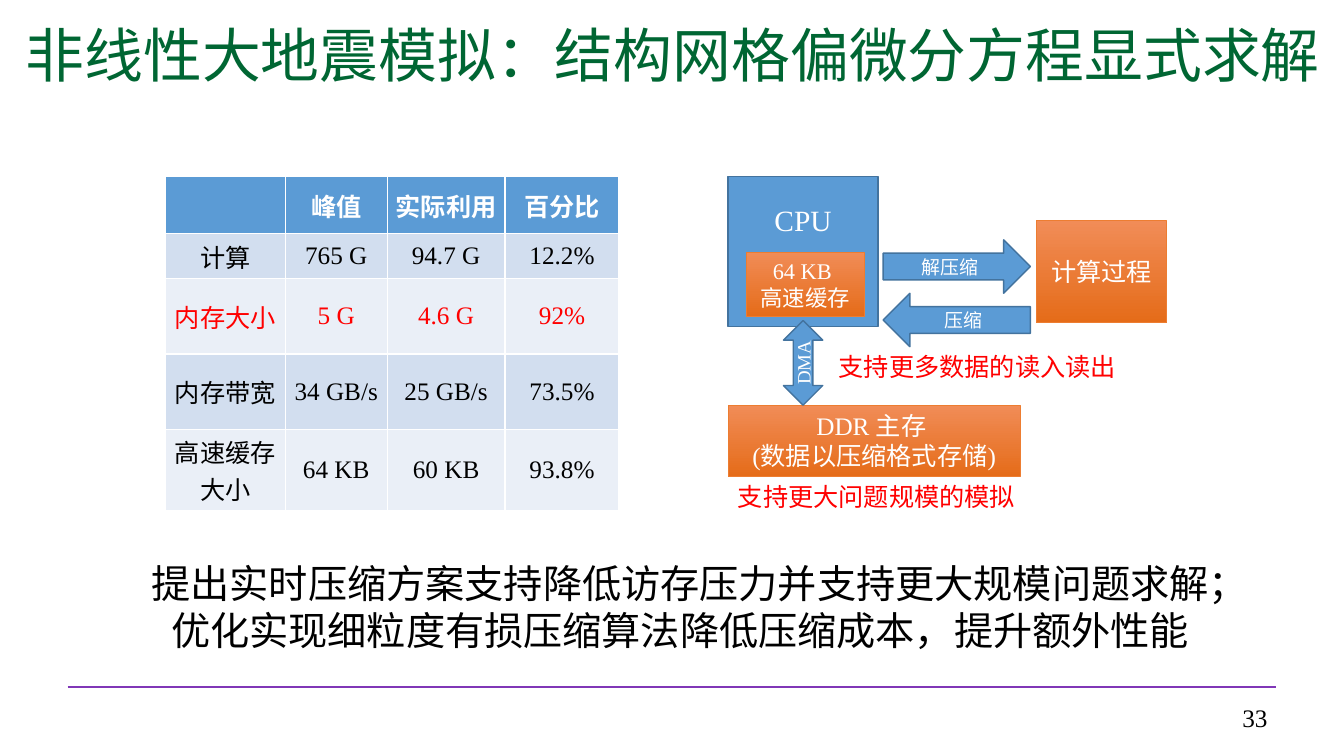
from dataclasses import dataclass

from lxml import etree
from pptx import Presentation
from pptx.dml.color import RGBColor
from pptx.enum.shapes import MSO_CONNECTOR, MSO_SHAPE
from pptx.enum.text import MSO_ANCHOR, PP_ALIGN
from pptx.oxml.ns import qn
from pptx.util import Inches, Pt

RECT, UP_DOWN = MSO_SHAPE.RECTANGLE, MSO_SHAPE.UP_DOWN_ARROW
RIGHT_ARROW, LEFT_ARROW = MSO_SHAPE.RIGHT_ARROW, MSO_SHAPE.LEFT_ARROW
TOP, MIDDLE, BOTTOM = MSO_ANCHOR.TOP, MSO_ANCHOR.MIDDLE, MSO_ANCHOR.BOTTOM
LEFT, CENTER, RIGHT = PP_ALIGN.LEFT, PP_ALIGN.CENTER, PP_ALIGN.RIGHT


@dataclass(frozen=True)
class Theme:
    font: str = "Times New Roman"
    title_font: str = "Noto Sans CJK JP"
    green: str = "006633"
    purple: str = "8037B7"
    blue: str = "5B9BD5"
    blue_edge: str = "43739E"
    orange: tuple = ("F18C57", "E56C19")
    orange_edge: str = "ED7D31"
    bands: tuple = ("D2DEEF", "EAEFF7")
    red: str = "FF0000"
    black: str = "000000"
    white: str = "FFFFFF"
    title: float = 42
    summary: float = 28
    cpu: float = 21
    body: float = 18
    cache: float = 16
    arrow: float = 13.5


T = Theme()

# Content
TITLE = "非线性大地震模拟：结构网格偏微分方程显式求解"
SUMMARY = ("提出实时压缩方案支持降低访存压力并支持更大规模问题求解；"
           "优化实现细粒度有损压缩算法降低压缩成本，提升额外性能")
PAGE = "33"
USAGE = [
    ("", "峰值", "实际利用", "百分比"),
    ("计算", "765 G", "94.7 G", "12.2%"),
    ("内存大小", "5 G", "4.6 G", "92%"),
    ("内存带宽", "34 GB/s", "25 GB/s", "73.5%"),
    ("高速缓存大小", "64 KB", "60 KB", "93.8%"),
]
KEY_ROW = 2
USAGE_COLS = (1.19, 1.01, 1.17, 1.13)
USAGE_ROWS = (0.57, 0.42, 0.75, 0.75, 0.75)

# Grid lines in inches
W, H = 13.33, 7.5
MARGIN, RULE_Y = 0.67, 6.82
USAGE_X, DIAGRAM_X, DIAGRAM_Y = 1.64, 7.22, 1.75
CPU_SIDE = 1.49
MEMORY_Y, MEMORY_H = 4.02, 0.71
FLOW_X, FLOW_W, FLOW_H, FLOW_Y = 8.76, 1.46, 0.53, 2.38
NOTE_W, NOTE_H = 3.26, 0.4

# Shapes: preset, box, orange or blue, lines, size, anchor, top inset
DIAGRAM = [
    (RECT, (DIAGRAM_X, DIAGRAM_Y, CPU_SIDE, CPU_SIDE), False, ["CPU"], T.cpu, TOP, 0.25),
    (RECT, (7.4, 2.5, 1.17, 0.64), True, ["64 KB ", "高速缓存"], T.cache, TOP, 0.05),
    (RECT, (DIAGRAM_X, MEMORY_Y, 2.9, MEMORY_H), True,
     ["DDR 主存 ", "(数据以压缩格式存储)"], T.body, TOP, 0.05),
    (UP_DOWN, (7.77, 3.18, 0.39, MEMORY_Y - 3.18), False, ["DMA"], T.arrow, MIDDLE, 0.05),
    (RECT, (10.28, 2.19, 1.29, 1.01), True, ["计算过程"], T.body, MIDDLE, 0.05),
    (RIGHT_ARROW, (FLOW_X, FLOW_Y, FLOW_W, FLOW_H), False, ["解压缩"], T.arrow, MIDDLE, 0.05),
    (LEFT_ARROW, (FLOW_X, FLOW_Y + FLOW_H, FLOW_W, FLOW_H), False,
     ["压缩"], T.arrow, MIDDLE, 0.05),
]

# Text boxes: box, text, size, colour, font, alignment, anchor, line spacing
TEXTS = [
    ((DIAGRAM_X, MEMORY_Y + MEMORY_H, NOTE_W, NOTE_H), "支持更大问题规模的模拟",
     T.body, T.red, T.font, LEFT, TOP, 1.0),
    ((DIAGRAM_X + 1, 3.44, NOTE_W, NOTE_H), "支持更多数据的读入读出",
     T.body, T.red, T.font, LEFT, TOP, 1.0),
    ((1.39, 5.5, 10.71, 1.09), SUMMARY, T.summary, T.black, T.font, CENTER, TOP, 1.0),
    ((-0.14, 0.22, 13.62, 1.25), TITLE, T.title, T.green, T.title_font, CENTER, TOP, 0.9),
    ((9.56, RULE_Y, 3.11, 0.5), PAGE, T.body, T.black, T.font, RIGHT, BOTTOM, 1.0),
]


def rgb(colour):
    return RGBColor.from_string(colour)


def write(frame, lines, size, colour, font=T.font, align=CENTER, spacing=1.0, bold=False):
    frame.text = "\n".join(lines)
    frame.word_wrap = True
    for paragraph in frame.paragraphs:
        paragraph.alignment = align
        paragraph.line_spacing = spacing
        for run in paragraph.runs:
            run.font.size, run.font.name, run.font.bold = Pt(size), font, bold
            run.font.color.rgb = rgb(colour)


def add_part(slide, preset, box, is_orange, lines, size, anchor, inset):
    part = slide.shapes.add_shape(preset, *map(Inches, box))
    part.shadow.inherit = False
    if is_orange:
        part.fill.gradient()
        part.fill.gradient_angle = 270
        for stop, colour in zip(part.fill.gradient_stops, T.orange):
            stop.color.rgb = rgb(colour)
        for stop, position in zip(part.fill.gradient_stops, (0, 1)):
            stop.position = position
    else:
        part.fill.solid()
        part.fill.fore_color.rgb = rgb(T.blue)
    part.line.color.rgb = rgb(T.orange_edge if is_orange else T.blue_edge)
    part.line.width = Pt(0.5 if is_orange else 1)
    frame = part.text_frame
    write(frame, lines, size, T.white)
    frame.vertical_anchor = anchor
    frame.margin_top = Inches(inset)
    if preset == UP_DOWN:
        frame.paragraphs[0].runs[0].font.size = Pt(size)
        part.element.txBody.find(qn("a:bodyPr")).set("vert", "vert270")


def add_usage_table(slide):
    table = slide.shapes.add_table(
        len(USAGE), len(USAGE_COLS), Inches(USAGE_X), Inches(DIAGRAM_Y),
        Inches(sum(USAGE_COLS)), Inches(sum(USAGE_ROWS))).table
    for column, width in zip(table.columns, USAGE_COLS):
        column.width = Inches(width)
    for r, (row, height) in enumerate(zip(USAGE, USAGE_ROWS)):
        table.rows[r].height = Inches(height)
        header = r == 0
        colour = T.white if header else T.red if r == KEY_ROW else T.black
        for c, value in enumerate(row):
            cell = table.cell(r, c)
            cell.fill.solid()
            cell.fill.fore_color.rgb = rgb(T.blue if header else T.bands[(r - 1) % 2])
            cell.vertical_anchor = MIDDLE
            cell.margin_left = cell.margin_right = Inches(0.07)
            cell.margin_top = cell.margin_bottom = Inches(0.04)
            write(cell.text_frame, [value], T.body, colour, bold=header)


def main():
    deck = Presentation()
    deck.slide_width, deck.slide_height = Inches(W), Inches(H)
    slide = deck.slides.add_slide(deck.slide_layouts[6])

    # Footer rule
    rule = slide.shapes.add_connector(
        MSO_CONNECTOR.STRAIGHT, Inches(MARGIN), Inches(RULE_Y),
        Inches(W - MARGIN), Inches(RULE_Y))
    rule.line.color.rgb = rgb(T.purple)
    rule.line.width = Pt(1.5)
    etree.SubElement(rule.element.spPr, qn("a:effectLst"))

    # Table and diagram
    add_usage_table(slide)
    for part in DIAGRAM:
        add_part(slide, *part)

    # Title, notes, summary and page number
    for box, text, size, colour, font, align, anchor, spacing in TEXTS:
        frame = slide.shapes.add_textbox(*map(Inches, box)).text_frame
        write(frame, [text], size, colour, font, align, spacing)
        frame.vertical_anchor = anchor

    deck.save("out.pptx")


if __name__ == "__main__":
    main()
